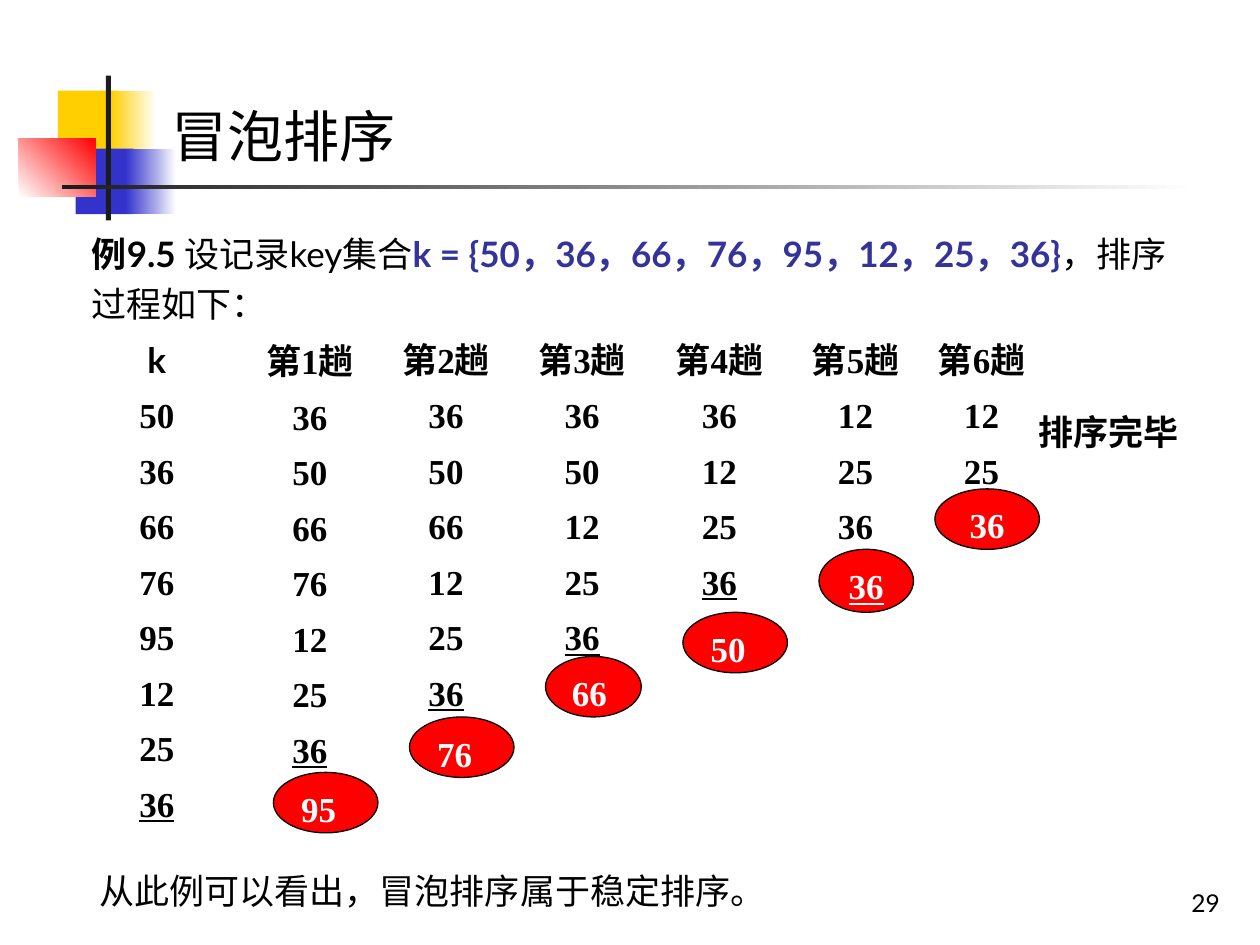
from lxml.etree import SubElement
from pptx import Presentation
from pptx.dml.color import RGBColor
from pptx.enum.shapes import MSO_SHAPE
from pptx.enum.text import MSO_ANCHOR, PP_ALIGN
from pptx.oxml.ns import qn
from pptx.util import Inches, Pt

# Content
COLORS = {"black": "000000", "white": "FFFFFF", "navy": "333399", "red": "FF0000",
          "yellow": "FFCF01", "blue": "3333CC", "ink": "1C1C1C"}
SERIF, SANS, CJK = "Times New Roman", "Lato", "Noto Sans CJK JP"

# Decoration: left, top, width, height, colours from first to last, angle
DECORATION = [
    (0.46, 0.72, 0.48, 0.52, ["yellow"], 0),
    (0.88, 0.72, 0.36, 0.52, ["yellow", "white"], 0),
    (0.6, 1.18, 0.46, 0.52, ["blue"], 0),
    (1, 1.18, 0.4, 0.52, ["blue", "white"], 0),
    (0.15, 1.1, 0.61, 0.46, ["white", "red"], 45),
    (0.84, 0.6, 0.04, 1.15, ["ink"], 0),
    (0.49, 1.47, 9, 0.03, ["ink", "white"], 0),
]
TITLE = "冒泡排序"
EXAMPLE = [  # text, bold, colour
    ("例9.5 ", True, "black"),
    ("设记录key集合", False, "black"),
    ("k = {50，36，66，76，95，12，25，36}", True, "navy"),
    ("，排序过程如下：", False, "black"),
]
CONCLUSION = "从此例可以看出，冒泡排序属于稳定排序。"
DONE = "排序完毕"
PAGE_NUMBER = "29"

# Columns: left, top, width, heading, values, underlined last value
COLUMNS = [
    (0.83, 2.7, 0.83, "k", [50, 36, 66, 76, 95, 12, 25, 36], True),
    (1.92, 2.71, 1.08, "第1趟", [36, 50, 66, 76, 12, 25, 36], True),
    (3, 2.7, 1.08, "第2趟", [36, 50, 66, 12, 25, 36], True),
    (4.08, 2.7, 1.08, "第3趟", [36, 50, 12, 25, 36], True),
    (5.17, 2.7, 1.08, "第4趟", [36, 12, 25, 36], True),
    (6.25, 2.7, 1.08, "第5趟", [12, 25, 36], False),
    (7.25, 2.7, 1.08, "第6趟", [12, 25], False),
]
# Values in final place: left, top, width, height, value, alignment, underlined
SETTLED = [
    (2.17, 6.13, 0.83, 0.48, 95, PP_ALIGN.JUSTIFY, False),
    (3.25, 5.69, 0.83, 0.48, 76, PP_ALIGN.JUSTIFY, False),
    (4.33, 5.21, 0.76, 0.48, 66, PP_ALIGN.JUSTIFY, False),
    (5.42, 4.86, 0.83, 0.48, 50, PP_ALIGN.JUSTIFY, False),
    (6.5, 4.36, 0.75, 0.5, 36, PP_ALIGN.CENTER, True),
    (7.42, 3.88, 0.83, 0.48, 36, PP_ALIGN.CENTER, False),
]
ROW_GAP, ROW_SPACING = 12.5, 0.8


def color(name):
    return RGBColor.from_string(COLORS[name])


def add_span(para, text, size=20, font=SERIF, tint="black", bold=False, underline=False):
    span = para.add_run()
    span.text = text
    span.font.size = Pt(size)
    span.font.name = font
    span.font.bold = bold
    if underline:
        span.font.underline = True
    span.font.color.rgb = color(tint)
    SubElement(span.font._element, qn("a:ea")).set("typeface", CJK)


def add_box(page, left, top, width, height, align=PP_ALIGN.LEFT, anchor=MSO_ANCHOR.TOP):
    box = page.shapes.add_textbox(Inches(left), Inches(top), Inches(width), Inches(height))
    frame = box.text_frame
    frame.word_wrap = True
    frame.vertical_anchor = anchor
    frame.paragraphs[0].alignment = align
    return frame


def add_shape(page, kind, left, top, width, height):
    shape = page.shapes.add_shape(kind, Inches(left), Inches(top), Inches(width), Inches(height))
    shape.shadow.inherit = False
    return shape


def add_decoration(page, left, top, width, height, tints, angle):
    block = add_shape(page, MSO_SHAPE.RECTANGLE, left, top, width, height)
    block.line.fill.background()
    if len(tints) == 1:
        block.fill.solid()
        block.fill.fore_color.rgb = color(tints[0])
        return
    block.fill.gradient()
    block.fill.gradient_angle = angle
    for stop, tint in zip(block.fill.gradient_stops, tints):
        stop.color.rgb = color(tint)


def add_column(page, left, top, width, heading, values, mark_last):
    rows = [heading] + [str(value) for value in values]
    height = 0.37 + 0.44 * len(values)
    frame = add_box(page, left, top, width, height)
    for index, text in enumerate(rows):
        para = frame.add_paragraph() if index else frame.paragraphs[0]
        para.alignment = PP_ALIGN.CENTER
        para.line_spacing = ROW_SPACING
        if index:
            para.space_before = Pt(ROW_GAP)
        add_span(para, text, font=SANS if text == "k" else SERIF, bold=True,
                 underline=mark_last and index == len(values))


def add_settled(page, left, top, width, height, value, align, underline):
    oval = add_shape(page, MSO_SHAPE.OVAL, left, top, width, height)
    oval.fill.solid()
    oval.fill.fore_color.rgb = color("red")
    oval.line.color.rgb = color("black")
    oval.line.width = Pt(0.75)
    frame = oval.text_frame
    frame.vertical_anchor = MSO_ANCHOR.TOP
    para = frame.paragraphs[0]
    para.alignment = align
    add_span(para, str(value), tint="white", bold=True, underline=underline)


def main():
    deck = Presentation()
    deck.slide_width, deck.slide_height = Inches(10), Inches(7.5)
    page = deck.slides.add_slide(deck.slide_layouts[6])

    # Corner blocks and rules
    for part in DECORATION:
        add_decoration(page, *part)

    # Title and example
    title = add_box(page, 1.26, 0.76, 8.74, 0.64)
    add_span(title.paragraphs[0], TITLE, size=32, font=CJK)
    example = add_box(page, 0.63, 1.73, 8.93, 0.9).paragraphs[0]
    example.line_spacing = 1.2
    for text, bold, tint in EXAMPLE:
        add_span(example, text, font=SANS, tint=tint, bold=bold)

    # Sorting passes
    for column in COLUMNS:
        add_column(page, *column)
    for item in SETTLED:
        add_settled(page, *item)
    done = add_box(page, 8.14, 3.21, 1.52, 0.49, PP_ALIGN.JUSTIFY)
    add_span(done.paragraphs[0], DONE, bold=True)

    # Conclusion and page number
    conclusion = add_box(page, 0.69, 6.85, 7.55, 0.44)
    add_span(conclusion.paragraphs[0], CONCLUSION)
    number = add_box(page, 7.7, 6.83, 2.08, 0.5, PP_ALIGN.RIGHT, MSO_ANCHOR.BOTTOM)
    add_span(number.paragraphs[0], PAGE_NUMBER, size=14, font=SANS)

    deck.save("out.pptx")


if __name__ == "__main__":
    main()
